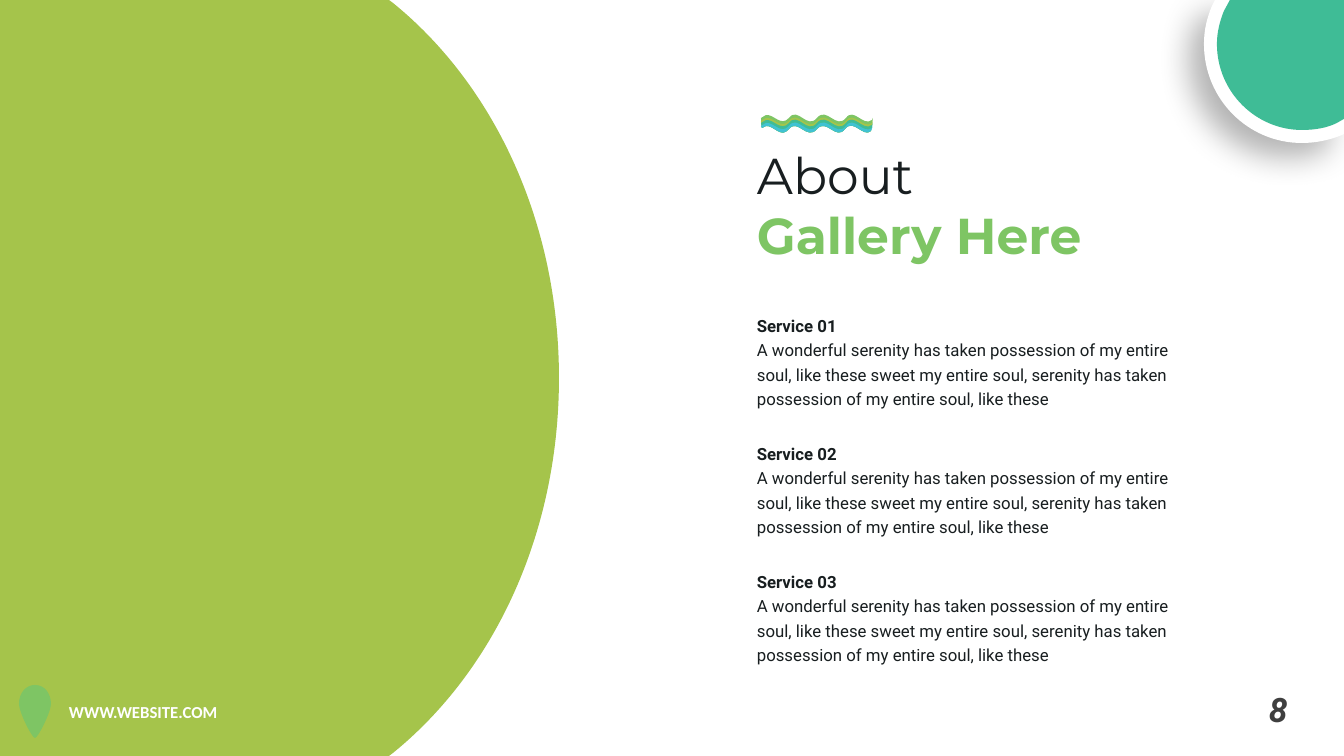
from lxml.etree import SubElement
from pptx import Presentation
from pptx.dml.color import RGBColor
from pptx.enum.text import MSO_AUTO_SIZE
from pptx.oxml.ns import qn
from pptx.util import Pt

EMU_PER_PX = 914400 / 100.8
WIDTH, HEIGHT = 1344, 756
COLORS = {
    "white": "FFFFFF",
    "lime": "A5C44B",
    "green": "7EC564",
    "teal": "3FBC96",
    "cyan": "40C2D2",
    "ink": "181E20",
    "gray": "3F3F3F",
    "shadow": "000000",
}
SERVICE_TEXT = (
    "A wonderful serenity has taken possession of my entire soul, "
    "like these sweet my entire soul, serenity has taken possession "
    "of my entire soul, like these"
)
WAVE_CREST = [
    [(766, 115)],
    [(774, 114), (781, 127), (789, 118)],
    [(798, 106), (807, 130), (817, 118)],
    [(827, 106), (836, 130), (846, 118)],
    [(854, 107), (863, 127), (872, 120)],
    [(873, 118)],
]
WAVE_BASE = [
    [(871, 131)],
    [(863, 138), (854, 118), (845, 129)],
    [(836, 141), (827, 118), (817, 129)],
    [(807, 141), (798, 118), (789, 129)],
    [(781, 139), (774, 125), (766, 126)],
    [(762, 128)],
]


def px(length):
    return round(length * EMU_PER_PX)


def rgb(name):
    return RGBColor.from_string(COLORS[name])


def bend_segments(shape, segments):
    lines = list(shape._element.iter(qn("a:lnTo")))
    for line, segment in zip(lines, segments):
        if len(segment) == 3:
            curve = line.makeelement(qn("a:cubicBezTo"))
            for x, y in segment:
                SubElement(curve, qn("a:pt"), x=str(px(x) - shape.left),
                           y=str(px(y) - shape.top))
            line.getparent().replace(line, curve)


def add_outline(shapes, segments, color):
    vertices = [tuple(map(px, segment[-1])) for segment in segments]
    builder = shapes.build_freeform(*vertices[0], scale=1.0)
    builder.add_line_segments(vertices[1:], close=True)
    shape = builder.convert_to_shape()
    bend_segments(shape, segments[1:])
    shape.shadow.inherit = False
    shape.fill.solid()
    shape.fill.fore_color.rgb = rgb(color)
    shape.line.fill.background()
    return shape


def add_soft_shadow(shape):
    effects = shape._element.spPr.find(qn("a:effectLst"))
    shadow = SubElement(
        effects, qn("a:outerShdw"), blurRad=str(Pt(23)), dist=str(Pt(15)),
        dir=str(135 * 60000), algn="ctr", rotWithShape="0",
    )
    color = SubElement(shadow, qn("a:srgbClr"), val=COLORS["shadow"])
    SubElement(color, qn("a:alpha"), val="29000")


def add_side_panel(slide):
    add_outline(slide.shapes, [
        [(389, 0)], [(0, 0)], [(0, HEIGHT)], [(389, HEIGHT)], [(393, 753)],
        [(494, 671), (559, 534), (559, 378)],
        [(559, 222), (494, 85), (393, 3)],
    ], "lime")


def add_corner_discs(slide):
    shapes = slide.shapes.add_group_shape().shapes
    rim = add_outline(shapes, [
        [(1215, 0)], [(WIDTH, 0)], [(WIDTH, 134)], [(1342, 135)],
        [(1330, 140), (1316, 143), (1302, 143)],
        [(1248, 143), (1204, 99), (1204, 44)],
        [(1204, 30), (1207, 18), (1212, 6)],
    ], "white")
    add_soft_shadow(rim)
    add_outline(shapes, [
        [(1230, 0)], [(WIDTH, 0)], [(WIDTH, 119)], [(1337, 123)],
        [(1327, 128), (1315, 130), (1302, 130)],
        [(1256, 130), (1217, 92), (1217, 44)],
        [(1217, 32), (1220, 21), (1224, 11)],
    ], "teal")


def add_pin(slide):
    add_outline(slide.shapes, [
        [(35, 685)],
        [(45, 685), (51, 694), (51, 704)],
        [(51, 712), (38, 738), (35, 738)],
        [(32, 738), (19, 712), (19, 704)],
        [(19, 693), (26, 685), (35, 685)],
    ], "green")


def add_ribbon(shapes, offset, color):
    crest = [[(x, y + offset) for x, y in segment] for segment in WAVE_CREST]
    add_outline(shapes, crest + WAVE_BASE + [[(761, 118 + offset)]], color)


def add_text(slide, box, lines, *, font, size, spacing=None, wrap=True, italic=False):
    frame = slide.shapes.add_textbox(*map(px, box)).text_frame
    frame.word_wrap = wrap
    frame.auto_size = MSO_AUTO_SIZE.SHAPE_TO_FIT_TEXT
    for index, (text, color, bold) in enumerate(lines):
        paragraph = frame.add_paragraph() if index else frame.paragraphs[0]
        paragraph.line_spacing = spacing
        run = paragraph.add_run()
        run.text = text
        run.font.name = font
        run.font.size = Pt(size)
        run.font.bold = bold
        run.font.italic = italic
        run.font.color.rgb = rgb(color)


def main():
    presentation = Presentation()
    presentation.slide_width = px(WIDTH)
    presentation.slide_height = px(HEIGHT)
    slide = presentation.slides.add_slide(presentation.slide_layouts[6])

    add_side_panel(slide)
    add_corner_discs(slide)
    add_text(slide, (1259, 684, 59, 50), [("8", "gray", True)],
             font="Roboto", size=24, wrap=False, italic=True)
    add_pin(slide)
    add_text(slide, (59, 697, 255, 30), [("WWW.WEBSITE.COM", "white", True)],
             font="Calibri", size=12)
    add_text(slide, (747, 139, 380, 132),
             [("About", "ink", False), ("Gallery Here", "green", True)],
             font="Montserrat", size=36)

    ribbons = slide.shapes.add_group_shape().shapes
    for offset, color in ((0, "green"), (3, "lime"), (5, "teal"), (8, "cyan")):
        add_ribbon(ribbons, offset, color)

    for index in range(3):
        lines = [(f"Service {index + 1:02}", "ink", True), (SERVICE_TEXT, "ink", False)]
        add_text(slide, (747, 307 + 128 * index, 432, 106), lines,
                 font="Roboto", size=12, spacing=1.2)

    presentation.save("out.pptx")


if __name__ == "__main__":
    main()
